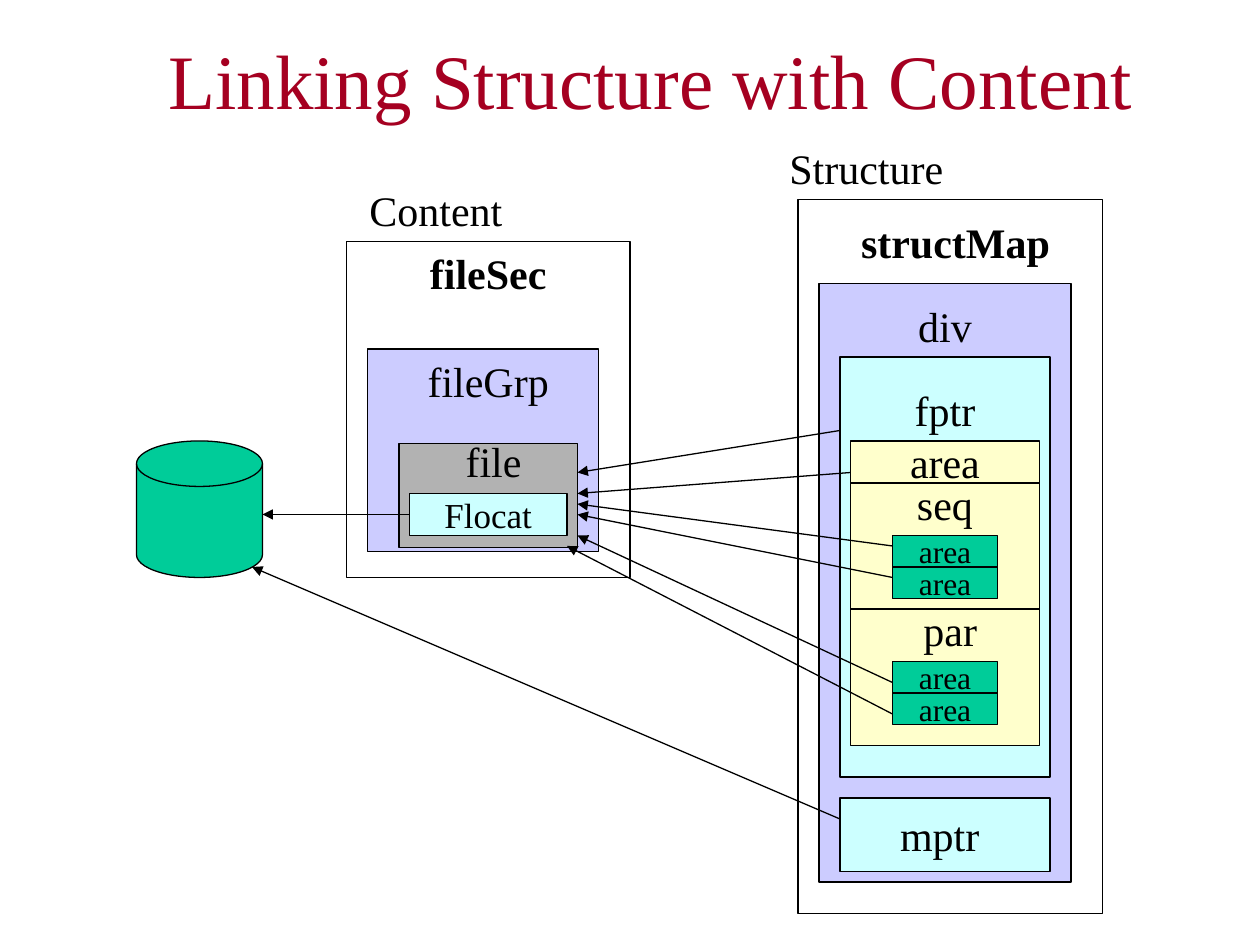
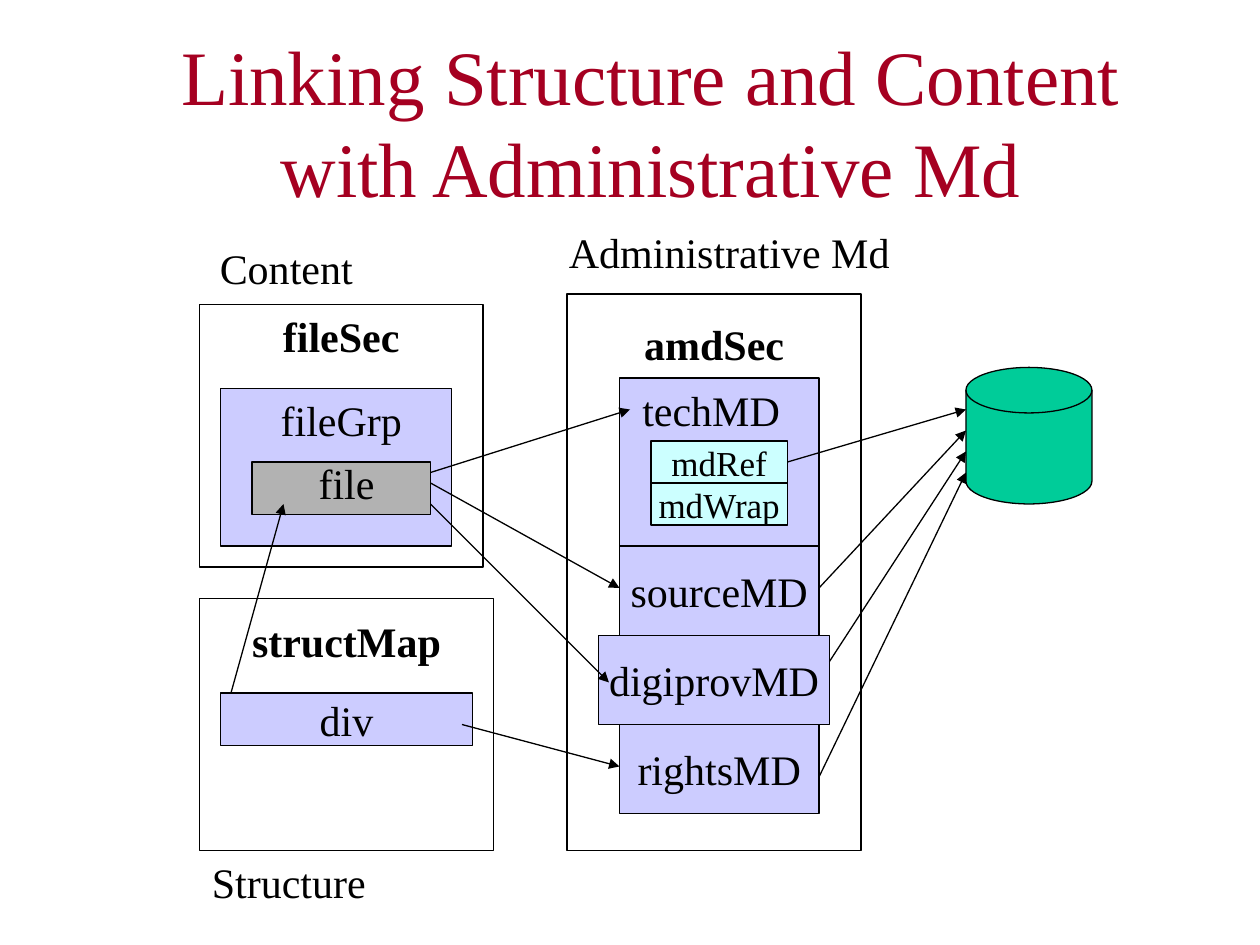
from lxml import etree
from pptx import Presentation
from pptx.dml.color import RGBColor
from pptx.enum.shapes import MSO_CONNECTOR, MSO_SHAPE
from pptx.enum.text import MSO_ANCHOR, MSO_AUTO_SIZE, PP_ALIGN
from pptx.oxml.ns import qn
from pptx.util import Pt

PX = 9525
FONT = "Times New Roman"
BLACK = RGBColor(0x00, 0x00, 0x00)
WHITE = RGBColor(0xFF, 0xFF, 0xFF)
CRIMSON = RGBColor(0xA5, 0x00, 0x21)
LAVENDER = RGBColor(0xCC, 0xCC, 0xFF)
AQUA = RGBColor(0xCC, 0xFF, 0xFF)
CREAM = RGBColor(0xFF, 0xFF, 0xCC)
GREEN = RGBColor(0x00, 0xCC, 0x99)
GREY = RGBColor(0xB2, 0xB2, 0xB2)

RECT = MSO_SHAPE.RECTANGLE
DISK = MSO_SHAPE.FLOWCHART_MAGNETIC_DISK
STRAIGHT = MSO_CONNECTOR.STRAIGHT
LEFT, CENTER = PP_ALIGN.LEFT, PP_ALIGN.CENTER
TOP, MIDDLE = MSO_ANCHOR.TOP, MSO_ANCHOR.MIDDLE
NO_AUTOFIT = MSO_AUTO_SIZE.NONE
TITLE_ONLY = 5
LINE_HEIGHT = 48


def px(*lengths):
    return [length * PX for length in lengths]


def write(shape, text, size=24, color=BLACK, bold=False, align=CENTER,
          anchor=MIDDLE, wrap=False):
    frame = shape.text_frame
    frame.auto_size = NO_AUTOFIT
    frame.word_wrap = wrap
    frame.vertical_anchor = anchor
    paragraph = frame.paragraphs[0]
    paragraph.alignment = align
    run = paragraph.add_run()
    run.text = text
    run.font.name = FONT
    run.font.size = Pt(size)
    run.font.bold = bold
    run.font.color.rgb = color


def add_title_slide(deck, title, top):
    slide = deck.slides.add_slide(deck.slide_layouts[TITLE_ONLY])
    heading = slide.shapes.title
    heading.left, heading.top, heading.width, heading.height = px(88, top, 816, 120)
    write(heading, title, size=44, color=CRIMSON, wrap=True)
    return slide


def add_box(slide, left, top, width, height, fill, text=None, size=24, kind=RECT):
    box = slide.shapes.add_shape(kind, *px(left, top, width, height))
    box.shadow.inherit = False
    box.fill.solid()
    box.fill.fore_color.rgb = fill
    box.line.color.rgb = BLACK
    box.line.width = Pt(0.75)
    if text:
        write(box, text, size=size)


def add_label(slide, left, top, width, text, **text_format):
    label = slide.shapes.add_textbox(*px(left, top, width, LINE_HEIGHT))
    write(label, text, anchor=TOP, **text_format)


def add_caption(slide, left, top, width, text):
    """Name a region outside its frame."""
    add_label(slide, left, top, width, text, align=LEFT)


def add_arrows(slide, routes):
    for start, end in routes:
        arrow = slide.shapes.add_connector(STRAIGHT, *px(*start, *end))
        arrow.line.color.rgb = BLACK
        arrow.line.width = Pt(0.75)
        line = arrow.line._get_or_add_ln()
        etree.SubElement(line, qn("a:tailEnd"), type="triangle")
        etree.SubElement(arrow._element.spPr, qn("a:effectLst"))


def add_store(slide, left, top):
    add_box(slide, left, top, 96, 104, GREEN, kind=DISK)


def add_file_section(slide, left, top, height, group, file, file_label):
    """group and file are (offset, height); file_label is an offset from top."""
    add_box(slide, left, top, 216, height, WHITE)
    add_label(slide, left, top, 216, "fileSec", bold=True, wrap=True)
    group_top, group_height = group
    add_box(slide, left + 16, top + group_top, 176, group_height, LAVENDER)
    add_label(slide, left + 24, top + group_top, 168, "fileGrp", wrap=True)
    file_top, file_height = file
    add_box(slide, left + 40, top + file_top, 136, file_height, GREY)
    add_label(slide, left + 48, top + file_label, 128, "file", wrap=True)


def add_area_group(slide, left, top, height, text, label_left, label_width):
    add_box(slide, left, top, 144, height, CREAM)
    add_label(slide, left + label_left, top - 8, label_width, text, wrap=True)
    for row in range(2):
        add_box(slide, left + 32, top + 40 + row * 24, 80, 24, GREEN, "area", size=18)


def add_full_structure_map(slide, left, top):
    add_box(slide, left, top, 232, 544, WHITE)
    add_label(slide, left + 16, top + 8, 208, "structMap", bold=True, wrap=True)
    add_box(slide, left + 16, top + 64, 192, 456, LAVENDER)
    add_label(slide, left + 16, top + 72, 192, "div", wrap=True)
    add_box(slide, left + 32, top + 120, 160, 320, AQUA)
    add_label(slide, left + 48, top + 136, 128, "fptr", wrap=True)
    add_box(slide, left + 40, top + 184, 144, 32, CREAM, "area")
    add_area_group(slide, left + 40, top + 216, 96, "seq", 0, 144)
    add_area_group(slide, left + 40, top + 312, 104, "par", 16, 120)
    add_box(slide, left + 32, top + 456, 160, 56, AQUA, "mptr ")


def add_brief_structure_map(slide, left, top):
    add_box(slide, left, top, 224, 192, WHITE)
    add_label(slide, left + 8, top + 8, 208, "structMap", bold=True, wrap=True)
    add_box(slide, left + 16, top + 72, 192, 40, LAVENDER, "div")


def add_admin_section(slide, left, top):
    add_box(slide, left, top, 224, 424, WHITE)
    add_label(slide, left + 8, top + 14, 208, "amdSec", bold=True, wrap=True)
    add_box(slide, left + 40, top + 64, 152, 128, LAVENDER)
    add_label(slide, left + 48, top + 64, 136, "techMD", align=LEFT, wrap=True)
    for row, text in enumerate(("mdRef", "mdWrap")):
        add_box(slide, left + 64, top + 112 + row * 32, 104, 32, AQUA, text, size=20)
    records = (("sourceMD", 152), ("digiprovMD", 176), ("rightsMD", 152))
    for row, (text, width) in enumerate(records):
        inset = 40 if width == 152 else 24
        add_box(slide, left + inset, top + 192 + row * 68, width, 68, LAVENDER, text)


def build_structure_slide(deck):
    slide = add_title_slide(deck, "Linking Structure with Content", top=0)
    add_full_structure_map(slide, 608, 152)
    add_store(slide, 104, 336)
    add_file_section(slide, 264, 184, 256, group=(82, 154), file=(154, 79),
                     file_label=143)
    add_box(slide, 312, 376, 120, 32, AQUA, "Flocat", size=20)
    add_caption(slide, 272, 136, 120, "Content")
    add_caption(slide, 592, 104, 136, "Structure")
    add_arrows(slide, (
        ((640, 328), (440, 360)),
        ((648, 360), (440, 376)),
        ((680, 416), (440, 384)),
        ((680, 440), (440, 392)),
        ((680, 520), (440, 408)),
        ((680, 544), (432, 416)),
        ((640, 624), (192, 432)),
        ((312, 392), (200, 392)),
    ))


def build_admin_slide(deck):
    slide = add_title_slide(
        deck, "Linking Structure and Content with Administrative Md", top=32)
    add_brief_structure_map(slide, 152, 456)
    add_file_section(slide, 152, 232, 200, group=(64, 120), file=(120, 40),
                     file_label=112)
    add_admin_section(slide, 432, 224)
    add_store(slide, 736, 280)
    add_caption(slide, 158, 180, 120, "Content")
    add_caption(slide, 424, 168, 263, "Administrative Md")
    add_caption(slide, 152, 648, 136, "Structure")
    add_arrows(slide, (
        ((176, 528), (216, 384)),
        ((328, 360), (480, 312)),
        ((328, 368), (472, 448)),
        ((328, 384), (464, 520)),
        ((352, 552), (472, 584)),
        ((600, 352), (736, 312)),
        ((624, 448), (736, 328)),
        ((632, 504), (736, 344)),
        ((624, 592), (736, 360)),
    ))


def main():
    deck = Presentation()
    deck.slide_width, deck.slide_height = px(960, 720)
    build_structure_slide(deck)
    build_admin_slide(deck)
    deck.save("out.pptx")


if __name__ == "__main__":
    main()
